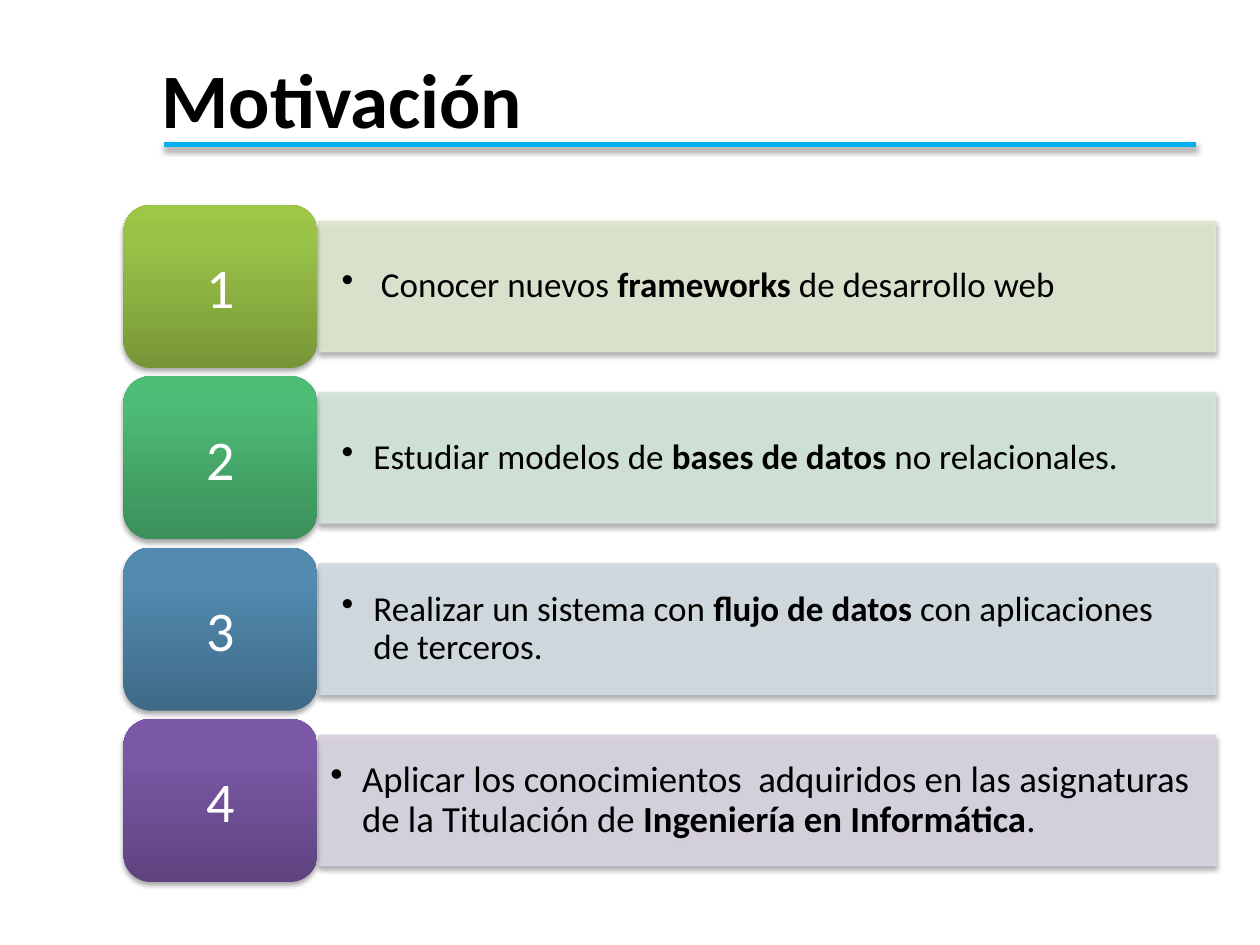
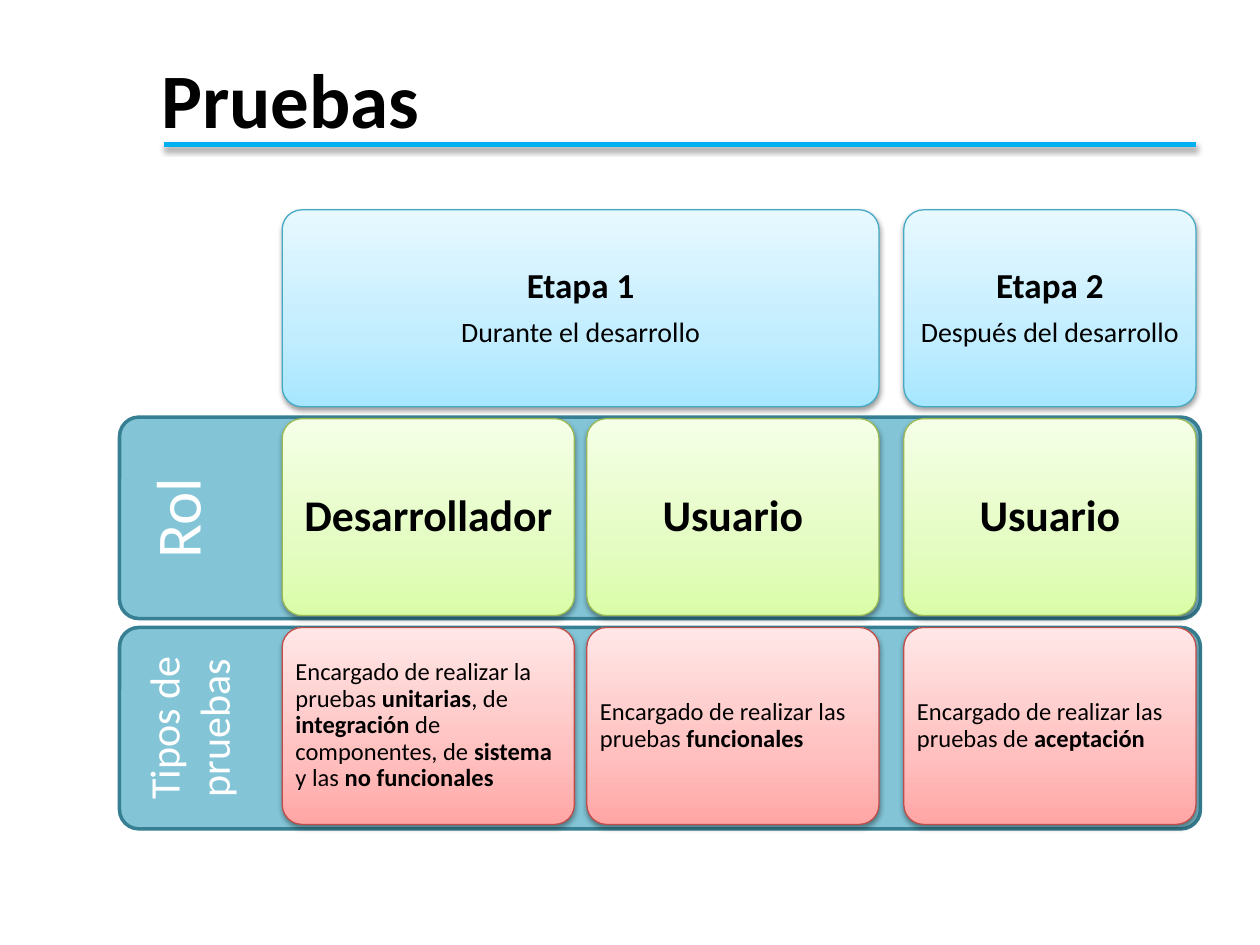
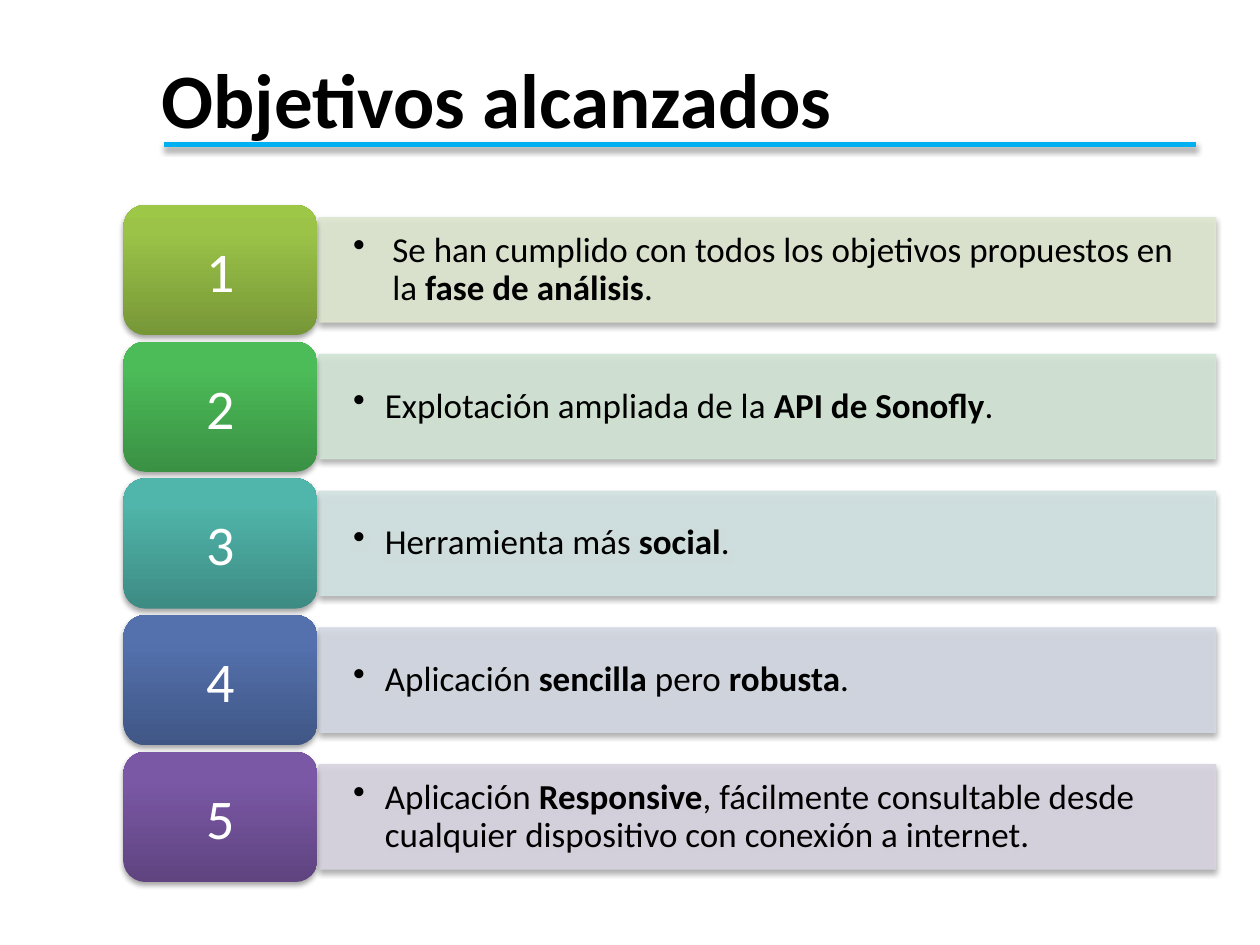
import lxml.etree
import pptx
import pptx.dml.color
import pptx.enum.shapes
import pptx.enum.text
import pptx.oxml.ns
import pptx.util

Cm = pptx.util.Cm
Pt = pptx.util.Pt
qn = pptx.oxml.ns.qn
KIND = pptx.enum.shapes.MSO_SHAPE
ALIGN = pptx.enum.text.PP_ALIGN
ANCHOR = pptx.enum.text.MSO_ANCHOR

FONT = "Calibri"
HUES = {
    "ink": "000000", "white": "FFFFFF", "rule": "00B0F0",
    "band": "83C5D7", "edge": "377F92",
}
# Badge gradient from bottom to top, then the tint of the bar
TONES = {
    "lime": ("779737", "9BC348", "9DC746", "DEE7D1"),
    "jade": ("3B8F5A", "4DBA75", "4BBD75", "D2E5D9"),
    "green": ("3A9144", "4CBC58", "4ABF57", "D2E5D5"),
    "teal": ("3D8B83", "50B5AA", "4EB8AC", "D2E3E2"),
    "steel": ("3F6A88", "528AB0", "518BB3", "D2DCE2"),
    "blue": ("405786", "5471AE", "5271B0", "D3D8E2"),
    "plum": ("5F4480", "7B58A6", "7C57A8", "D8D3E0"),
}
# Card gradient from bottom to top, then the outline
CARDS = {
    "sky": ("A7E6FF", "C1EDFF", "E7F8FF", "46AAC5"),
    "leaf": ("DAFDA7", "E4FCC2", "F5FFE7", "98B955"),
    "rose": ("FFA6A5", "FFC0BF", "FFE7E7", "BF4C48"),
}


def rgb(code):
    return pptx.dml.color.RGBColor.from_string(code)


def node(root, tag, **attrs):
    return lxml.etree.SubElement(
        root, qn(tag), {key: str(val) for key, val in attrs.items()})


class Deck:
    def __init__(self):
        self.prs = pptx.Presentation()
        self.prs.slide_width = Cm(25.4)
        self.prs.slide_height = Cm(19.05)
        self.slide = None

    # Shared page: title and rule
    def page(self, title):
        self.slide = self.prs.slides.add_slide(self.prs.slide_layouts[5])
        head = self.slide.shapes.title
        head.left, head.top, head.width, head.height = (
            Cm(3), Cm(0.91), Cm(22.4), Cm(2.41))
        frame = head.text_frame
        frame.auto_size = pptx.enum.text.MSO_AUTO_SIZE.NONE
        frame.vertical_anchor = ANCHOR.TOP
        self.say(frame.paragraphs[0], ("", title), 44, align=ALIGN.LEFT)
        rule = self.slide.shapes.add_connector(
            pptx.enum.shapes.MSO_CONNECTOR.STRAIGHT,
            Cm(3.3), Cm(2.92), Cm(24.1), Cm(2.92))
        rule.line.color.rgb = rgb(HUES["rule"])
        rule.line.width = Pt(3)
        props = rule._element.spPr
        self.shade(node(props, "a:effectLst"))

    # Runs alternate between plain and bold
    def say(self, para, bits, size, hue="ink", align=ALIGN.CENTER):
        para.alignment = align
        for num, bit in enumerate(bits):
            if bit:
                run = para.add_run()
                run.text = bit
                run.font.name = FONT
                run.font.size = Pt(size)
                run.font.bold = num % 2 == 1
                run.font.color.rgb = rgb(HUES[hue])

    def shade(self, root, dist=23000, alpha=35):
        cast = node(root, "a:outerShdw", blurRad=40000, dist=dist,
                    dir=5400000, rotWithShape=0)
        node(node(cast, "a:srgbClr", val="000000"), "a:alpha", val=alpha * 1000)

    def blend(self, shape, codes, stops):
        shape.fill.gradient()
        shape.fill.gradient_angle = 90
        root = shape._element.spPr.find(".//" + qn("a:gsLst"))
        for old in list(root):
            root.remove(old)
        for code, stop in zip(codes, stops):
            node(node(root, "a:gs", pos=stop * 1000), "a:srgbClr", val=code)

    def box(self, kind, left, top, width, height, fill=None, edge=None,
            thick=0.75, pad=(0.25, 0.13), round_by=None):
        shape = self.slide.shapes.add_shape(
            kind, Cm(left), Cm(top), Cm(width), Cm(height))
        shape.shadow.inherit = False
        if round_by:
            shape.adjustments[0] = round_by
        if fill:
            shape.fill.solid()
            shape.fill.fore_color.rgb = rgb(fill)
        if edge:
            shape.line.color.rgb = rgb(edge)
            shape.line.width = Pt(thick)
        else:
            shape.line.fill.background()
        frame = shape.text_frame
        frame.word_wrap = True
        frame.vertical_anchor = ANCHOR.MIDDLE
        frame.margin_left = frame.margin_right = Cm(pad[0])
        frame.margin_top = frame.margin_bottom = Cm(pad[1])
        return shape

    def cast(self, shape, **look):
        self.shade(shape._element.spPr.find(qn("a:effectLst")), **look)

    # Pale bar with one bullet
    def bar(self, top, height, tint, bits, size, pad, indent):
        shape = self.box(KIND.RECTANGLE, 6.43, top, 18.08, height,
                         tint, tint, pad=pad)
        for mark in list(shape._element.spPr.iter(qn("a:srgbClr"))):
            node(mark, "a:alpha", val=90000)
        self.cast(shape)
        para = shape.text_frame.paragraphs[0]
        para.line_spacing = 0.9
        self.say(para, bits, size, align=ALIGN.LEFT)
        props = para._p.get_or_add_pPr()
        props.set("marL", str(Cm(indent)))
        props.set("indent", str(-Cm(indent)))
        node(props, "a:buChar", char="•")

    def badge(self, top, height, tone, label):
        shape = self.box(KIND.ROUNDED_RECTANGLE, 2.49, top, 3.91, height,
                         pad=(0.33, 0.18))
        self.blend(shape, tone[:3], (0, 80, 100))
        self.cast(shape)
        self.say(shape.text_frame.paragraphs[0], (label,), 32, "white")

    # Numbered rows share one height; gaps are 5 % of it
    def rows(self, items, pad):
        height = 13.65 / (len(items) * 1.05 - 0.05)
        for num, (tone, bits, *look) in enumerate(items):
            top = 4.13 + num * height * 1.05
            size, inset = look or (20, pad)
            self.bar(top + height * 0.1, height * 0.8, TONES[tone][3], bits,
                     size, inset, 0.64 if num else 0.79)
            self.badge(top, height, TONES[tone], str(num + 1))

    def band(self, top, label, size):
        shape = self.box(KIND.ROUNDED_RECTANGLE, 2.41, top, 21.79, 4.06,
                         HUES["band"], HUES["edge"], 2, round_by=0.096)
        frame = shape.text_frame
        frame.vertical_anchor = ANCHOR.TOP
        frame._txBody.bodyPr.set("vert", "vert270")
        self.say(frame.paragraphs[0], (label,), size, "white")

    def card(self, left, top, width, look, lines, pad, align=ALIGN.CENTER):
        *codes, edge = CARDS[look]
        shape = self.box(KIND.ROUNDED_RECTANGLE, left, top, width, 3.97,
                         edge=edge, pad=(pad, pad), round_by=0.1)
        self.blend(shape, codes, (0, 35, 100))
        self.cast(shape, dist=20000, alpha=38)
        frame = shape.text_frame
        for num, (bits, size) in enumerate(lines):
            para = frame.add_paragraph() if num else frame.paragraphs[0]
            para.line_spacing = 0.9
            if num < len(lines) - 1:
                para.space_after = Pt(size * 0.35)
            self.say(para, bits, size, align=align)


def main():
    deck = Deck()

    # Slide 1: reasons
    deck.page("Motivación")
    deck.rows([
        ("lime", ("Conocer nuevos ", "frameworks", " de desarrollo web")),
        ("jade", ("Estudiar modelos de ", "bases de datos",
                  " no relacionales.")),
        ("steel", ("Realizar un sistema con ", "flujo de datos ",
                   "con aplicaciones de terceros.")),
        ("plum", ("Aplicar los conocimientos  adquiridos en las asignaturas "
                  "de la Titulación de ", "Ingeniería en Informática", "."),
         21, (0.23, 0.11)),
    ], (0.46, 0.23))

    # Slide 2: grid of stages, roles and tests
    deck.page("Pruebas")
    deck.band(8.41, "Rol", 36)
    deck.band(12.65, "Tipos de pruebas", 24)
    cols, wide = (5.69, 11.83, 18.22), 5.89
    tops = [4.23 + 4.21 * num for num in range(3)]
    stages = [
        (cols[0], cols[1] + wide - cols[0], "Etapa 1", "Durante el desarrollo"),
        (cols[2], wide, "Etapa 2", "Después del desarrollo"),
    ]
    for left, width, name, when in stages:
        deck.card(left, tops[0], width, "sky",
                  [(("", name), 20), ((when,), 16)], 0.2)
    roles = [
        ("Desarrollador", (
            "Encargado de realizar la pruebas ", "unitarias", ", de ",
            "integración", " de componentes, de ", "sistema", " y las ",
            "no funcionales")),
        ("Usuario", ("Encargado de realizar las pruebas ", "funcionales")),
        ("Usuario", ("Encargado de realizar las pruebas de ", "aceptación")),
    ]
    for left, (role, tests) in zip(cols, roles):
        deck.card(left, tops[1], wide, "leaf", [(("", role), 25)], 0.25)
        deck.card(left, tops[2], wide, "rose", [(tests, 14)], 0.15, ALIGN.LEFT)

    # Slide 3: goals met
    deck.page("Objetivos alcanzados")
    deck.rows([
        ("lime", ("Se han cumplido con todos los objetivos propuestos en la ",
                  "fase de análisis", ".")),
        ("green", ("Explotación ampliada de la ", "API de Sonofly", ".")),
        ("teal", ("Herramienta más ", "social", ".")),
        ("blue", ("Aplicación ", "sencilla", " pero ", "robusta", ".")),
        ("plum", ("Aplicación ", "Responsive", ", fácilmente consultable desde "
                  "cualquier dispositivo con conexión a internet.")),
    ], (0.69, 0.34))

    deck.prs.save("out.pptx")


if __name__ == "__main__":
    main()
